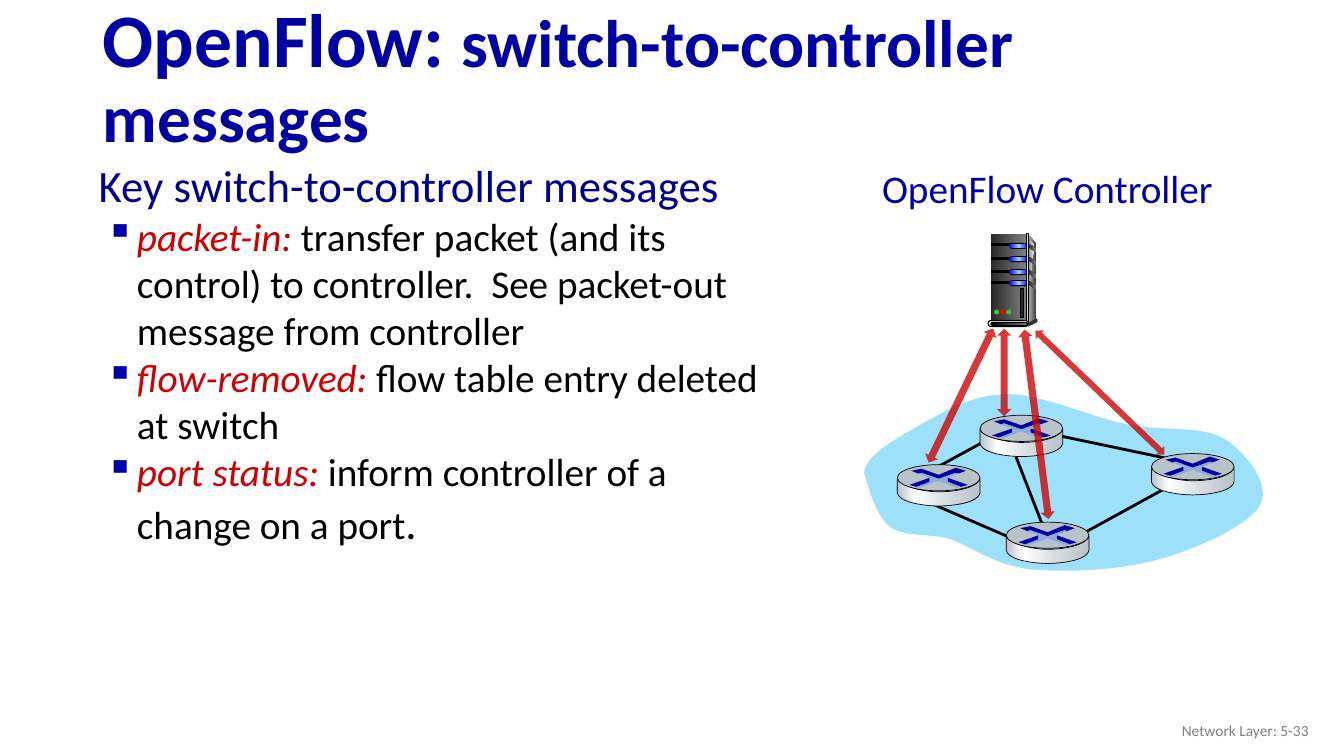
from math import atan2, degrees, hypot
from lxml.etree import SubElement
from pptx import Presentation
from pptx.dml.color import RGBColor
from pptx.enum.shapes import MSO_CONNECTOR, MSO_SHAPE
from pptx.enum.text import MSO_ANCHOR, MSO_AUTO_SIZE, PP_ALIGN
from pptx.oxml.ns import qn
from pptx.util import Inches, Pt

FONT = "Calibri"
NAVY = RGBColor(0x00, 0x00, 0xA3)
ROYAL = RGBColor(0x00, 0x00, 0xA8)
DEEP = RGBColor(0x00, 0x00, 0x90)
RED = RGBColor(0xCC, 0x00, 0x00)
BLACK = RGBColor(0x00, 0x00, 0x00)
GRAY = RGBColor(0x80, 0x80, 0x80)
SKY = RGBColor(0x9C, 0xE0, 0xFA)
STEEL = RGBColor(0xB8, 0xC2, 0xC9)
PALE_STEEL = RGBColor(0xD6, 0xDC, 0xE0)
WHITE = RGBColor(0xFF, 0xFF, 0xFF)
NEAR_WHITE = RGBColor(0xF8, 0xF8, 0xF8)
PERIWINKLE = RGBColor(0x8F, 0xAA, 0xDC)
SILVER = RGBColor(0xDD, 0xDD, 0xDD)
CHARCOAL = RGBColor(0x33, 0x33, 0x33)
COAL = RGBColor(0x29, 0x29, 0x29)
BLUE = RGBColor(0x00, 0x00, 0xFF)
LIGHT_BLUE = RGBColor(0x99, 0xCC, 0xFF)
GREEN = RGBColor(0x33, 0xCC, 0x33)
BRIGHT_RED = RGBColor(0xFF, 0x00, 0x00)

DARK_METAL = [(0, COAL), (100, GRAY)]
SIDE_METAL = [(0, SILVER), (100, CHARCOAL)]
SHEEN = [(0, GRAY), (100, NEAR_WHITE)]
EDGE_METAL = [(0, CHARCOAL), (50, SILVER), (100, CHARCOAL)]
GLOW_BLUE = [(0, BLUE), (50, LIGHT_BLUE), (100, BLUE)]
BASE_METAL = [(0, BLACK), (100, GRAY)]
ROUTER_METAL = [(0, STEEL), (21, WHITE), (60, PALE_STEEL), (100, STEEL)]

TITLE = [("OpenFlow: ", 54), ("switch-to-controller messages", 48)]
HEADING = "Key switch-to-controller messages"
MESSAGES = [
    ("packet-in: ", "transfer packet (and its control) to controller.  "
                    "See packet-out message from controller", ""),
    ("flow-removed: ", "flow table entry deleted at switch", ""),
    ("port status: ", "inform controller of a change on a port", "."),
]
CONTROLLER = "OpenFlow Controller"
FOOTER = "Network Layer: 5-33"

CLOUD = [
    (8.57, 4.69), (8.58, 4.54, 8.82, 4.39, 9.05, 4.26), (9.28, 4.13, 9.61, 3.92, 9.96, 3.91),
    (10.31, 3.9, 10.8, 4.13, 11.17, 4.21), (11.53, 4.28, 11.91, 4.22, 12.14, 4.35),
    (12.36, 4.49, 12.61, 4.81, 12.5, 5.01), (12.39, 5.21, 11.87, 5.45, 11.49, 5.55),
    (11.11, 5.66, 10.58, 5.68, 10.24, 5.65), (9.91, 5.62, 9.67, 5.45, 9.48, 5.37),
    (9.29, 5.28, 8.98, 5.34, 8.83, 5.23), (8.68, 5.11, 8.61, 4.82, 8.57, 4.69)]
LINKS = [((8.9, 4.85), (10.22, 4.13)), ((8.9, 4.85), (10.22, 5.42)),
         ((10.01, 4.36), (10.36, 5.26)), ((10.3, 4.28), (11.73, 4.58)),
         ((10.51, 5.42), (11.73, 4.75))]
ROUTERS = [(11.42, 4.5), (8.9, 4.61), (9.98, 5.18), (9.72, 4.12)]
ROUTER_SIDE = [(.82, .14), (.82, .28), (.8, .38, .55, .41, .41, .41), (.28, .41, .02, .38, 0, .28),
               (0, .14), (.04, .22, .27, .27, .41, .27), (.55, .27, .78, .24, .82, .14)]
ROUTER_MARKS = [
    ([(.58, .03), (.68, .06), (.6, .09), (.58, .08), (.41, .14),
      (.24, .08), (.21, .09), (.14, .06), (.24, .04), (.41, .1)], NAVY),
    ([(.5, .13), (.7, .2), (.63, .22), (.5, .17)], NAVY),
    ([(.32, .13), (.32, .18), (.19, .22), (.12, .2)], ROYAL),
    ([(.21, .09), (.24, .08), (.41, .14), (.58, .08), (.61, .09), (.5, .13), (.5, .17),
      (.63, .22), (.59, .23), (.41, .16), (.22, .23), (.19, .22), (.32, .17), (.32, .13)], PERIWINKLE),
]
CHANNELS = [((10.27, 3.28), (11.55, 4.51), .12), ((9.85, 3.26), (9.21, 4.59), .14),
            ((9.96, 3.26), (9.96, 4.13), .14), ((10.16, 3.27), (10.4, 5.15), .14)]

SERVER_BAYS = [2.42, 2.55, 2.68, 2.79]
SERVER_SIDE = [(10.2, 2.32), (10.28, 2.43), (10.28, 3.16), (10.18, 3.2)]
SERVER_SHEEN = [(10.2, 2.37), (10.2, 2.37, 10.22, 2.38, 10.26, 2.44),
                (10.2, 2.77, 10.21, 3.19, 10.2, 3.18)]
SERVER_FOOT = [(10.2, 3.2), (10.2, 3.24), (10.28, 3.2), (10.28, 3.16)]
VENT = [(0, 0), (.01, 0, .04, .02, .08, .05), (.08, .08), (.08, .08, .04, .06, 0, .03)]
LIGHTS = [GREEN, BRIGHT_RED, GREEN]

deck = Presentation()
deck.slide_width, deck.slide_height = Inches(13.33), Inches(7.5)
page = deck.slides.add_slide(deck.slide_layouts[5])
shapes = page.shapes


def paint(shape, fill, line=0, opacity=100):
    shape.shadow.inherit = False
    if isinstance(fill, list):
        shape.fill.gradient()
        shape.fill.gradient_angle = 0
        stops = shape._element.spPr.find(qn("a:gradFill")).find(qn("a:gsLst"))
        for stop in list(stops):
            stops.remove(stop)
        for position, color in fill:
            stop = SubElement(stops, qn("a:gs"), pos=str(position * 1000))
            SubElement(stop, qn("a:srgbClr"), val=str(color))
    else:
        shape.fill.solid()
        shape.fill.fore_color.rgb = fill
        if opacity < 100:
            color = shape._element.spPr.find(qn("a:solidFill"))[0]
            SubElement(color, qn("a:alpha"), val=str(opacity * 1000))
    if line:
        shape.line.color.rgb = BLACK
        shape.line.width = Pt(line)
    else:
        shape.line.fill.background()


def add_preset(kind, area, fill, line=0, opacity=100):
    shape = shapes.add_shape(kind, *map(Inches, area))
    if kind == MSO_SHAPE.ROUNDED_RECTANGLE:
        shape.adjustments[0] = 0.5
    paint(shape, fill, line, opacity)
    return shape


def add_outline(steps, fill, line=0, origin=(0, 0), pieces=12):
    points = [steps[0]]
    for step in steps[1:]:
        if len(step) == 2:
            points.append(step)
            continue
        start, first, second, end = points[-1], step[:2], step[2:4], step[4:]
        for t in (n / pieces for n in range(1, pieces + 1)):
            u = 1 - t
            points.append(tuple(
                u ** 3 * a + 3 * u * u * t * b + 3 * u * t * t * c + t ** 3 * d
                for a, b, c, d in zip(start, first, second, end)))
    points = [(Inches(origin[0] + x), Inches(origin[1] + y)) for x, y in points]
    builder = shapes.build_freeform(*points[0], scale=1.0)
    builder.add_line_segments(points[1:], close=True)
    paint(builder.convert_to_shape(), fill, line)


def add_span(para, words, size, color, bold=None, italic=None):
    span = para.add_run()
    span.text = words
    span.font.name, span.font.size = FONT, Pt(size)
    span.font.bold, span.font.italic = bold, italic
    span.font.color.rgb = color


def add_text_frame(area, wrap=True):
    frame = shapes.add_textbox(*map(Inches, area)).text_frame
    frame.word_wrap = wrap
    return frame


title = shapes.title
title.left, title.top, title.width, title.height = map(Inches, (0.92, 0.3, 11.5, 0.98))
title.text_frame.auto_size = MSO_AUTO_SIZE.NONE
title.text_frame.vertical_anchor = MSO_ANCHOR.MIDDLE
para = title.text_frame.paragraphs[0]
para.alignment, para.line_spacing = PP_ALIGN.LEFT, 0.9
for words, size in TITLE:
    add_span(para, words, size, NAVY, bold=True)

footer = add_text_frame((10.08, 7.05, 3, 0.4))
footer.vertical_anchor = MSO_ANCHOR.MIDDLE
footer.paragraphs[0].alignment = PP_ALIGN.RIGHT
add_span(footer.paragraphs[0], FOOTER, 11, GRAY)

body = add_text_frame((0.88, 1.52, 7.05, 4.01))
add_span(body.paragraphs[0], HEADING, 32, DEEP)
for name, meaning, ending in MESSAGES:
    para = body.add_paragraph()
    properties = para._p.get_or_add_pPr()
    properties.set("marL", str(Inches(0.38)))
    properties.set("indent", str(Inches(-0.31)))
    SubElement(SubElement(properties, qn("a:buClr")), qn("a:srgbClr"), val=str(ROYAL))
    SubElement(properties, qn("a:buChar"), char="▪")
    add_span(para, name, 28, RED, italic=True)
    add_span(para, meaning, 28, BLACK)
    if ending:
        add_span(para, ending, 32, BLACK)

add_outline(SERVER_SIDE, SIDE_METAL)
add_preset(MSO_SHAPE.RECTANGLE, (9.83, 2.32, 0.35, 0.88), DARK_METAL)
add_outline(SERVER_SHEEN, SHEEN)
for top in SERVER_BAYS:
    add_preset(MSO_SHAPE.RECTANGLE, (9.83, top, 0.2, 0.02), BLACK, 0.75)
    add_preset(MSO_SHAPE.ROUNDED_RECTANGLE, (10.01, top - 0.01, 0.2, 0.06), BLACK)
    add_preset(MSO_SHAPE.ROUNDED_RECTANGLE, (10.01, top, 0.19, 0.04), GLOW_BLUE)
add_preset(MSO_SHAPE.RECTANGLE, (10.18, 2.32, 0.02, 0.88), EDGE_METAL, 0.75)
for top in SERVER_BAYS:
    add_outline(VENT, DARK_METAL, origin=(10.2, top))
add_preset(MSO_SHAPE.OVAL, (10.27, 3.16, 0.02, 0.04), CHARCOAL)
add_outline(SERVER_FOOT, CHARCOAL)
add_preset(MSO_SHAPE.ROUNDED_RECTANGLE, (9.8, 3.18, 0.4, 0.06), SILVER, 0.75)
add_preset(MSO_SHAPE.ROUNDED_RECTANGLE, (9.83, 3.2, 0.36, 0.03), BASE_METAL, 0.75)
for column, color in enumerate(LIGHTS):
    add_preset(MSO_SHAPE.OVAL, (9.86 + column * 0.06, 3.07, 0.05, 0.05), color)
add_preset(MSO_SHAPE.RECTANGLE, (10.12, 2.86, 0.03, 0.29), COAL, 0.75)

label = add_text_frame((8.65, 1.58, 3.52, 0.57), wrap=False)
add_span(label.paragraphs[0], CONTROLLER, 28, ROYAL)

add_outline(CLOUD, SKY)
for start, end in LINKS:
    link = shapes.add_connector(MSO_CONNECTOR.STRAIGHT, *map(Inches, start + end))
    link.line.color.rgb, link.line.width = BLACK, Pt(2)
    SubElement(link._element.spPr, qn("a:effectLst"))
for corner in ROUTERS:
    add_outline(ROUTER_SIDE, ROUTER_METAL, 0.5, corner)
    add_preset(MSO_SHAPE.OVAL, corner + (0.82, 0.26), STEEL, 0.5)
    for mark, color in ROUTER_MARKS:
        add_outline(mark, color, origin=corner)
for (x1, y1), (x2, y2), width in CHANNELS:
    length = hypot(x2 - x1, y2 - y1)
    area = ((x1 + x2 - width) / 2, (y1 + y2 - length) / 2, width, length)
    arrow = add_preset(MSO_SHAPE.UP_DOWN_ARROW, area, RED, opacity=78)
    arrow.rotation = degrees(atan2(x1 - x2, y2 - y1))

deck.save("out.pptx")
